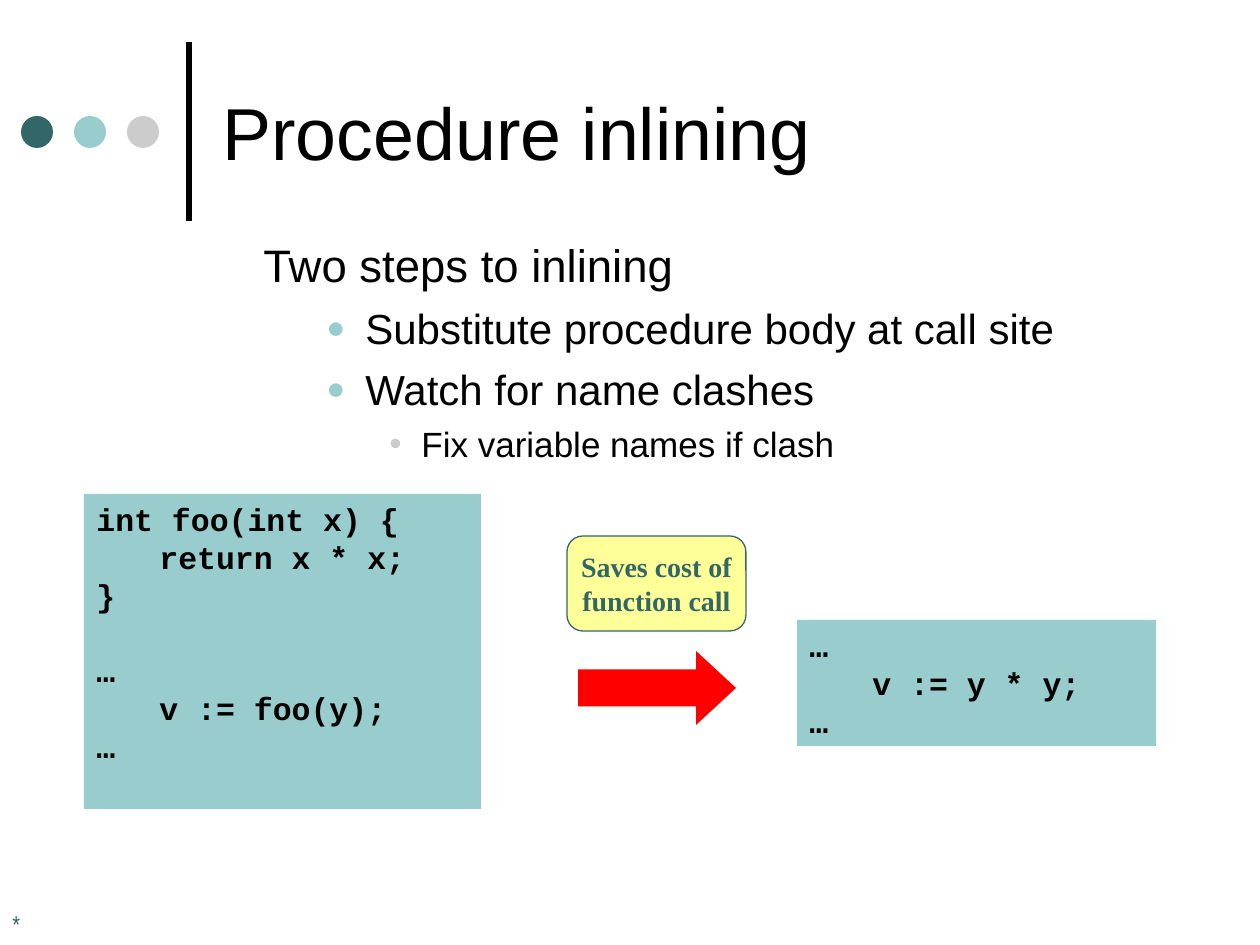
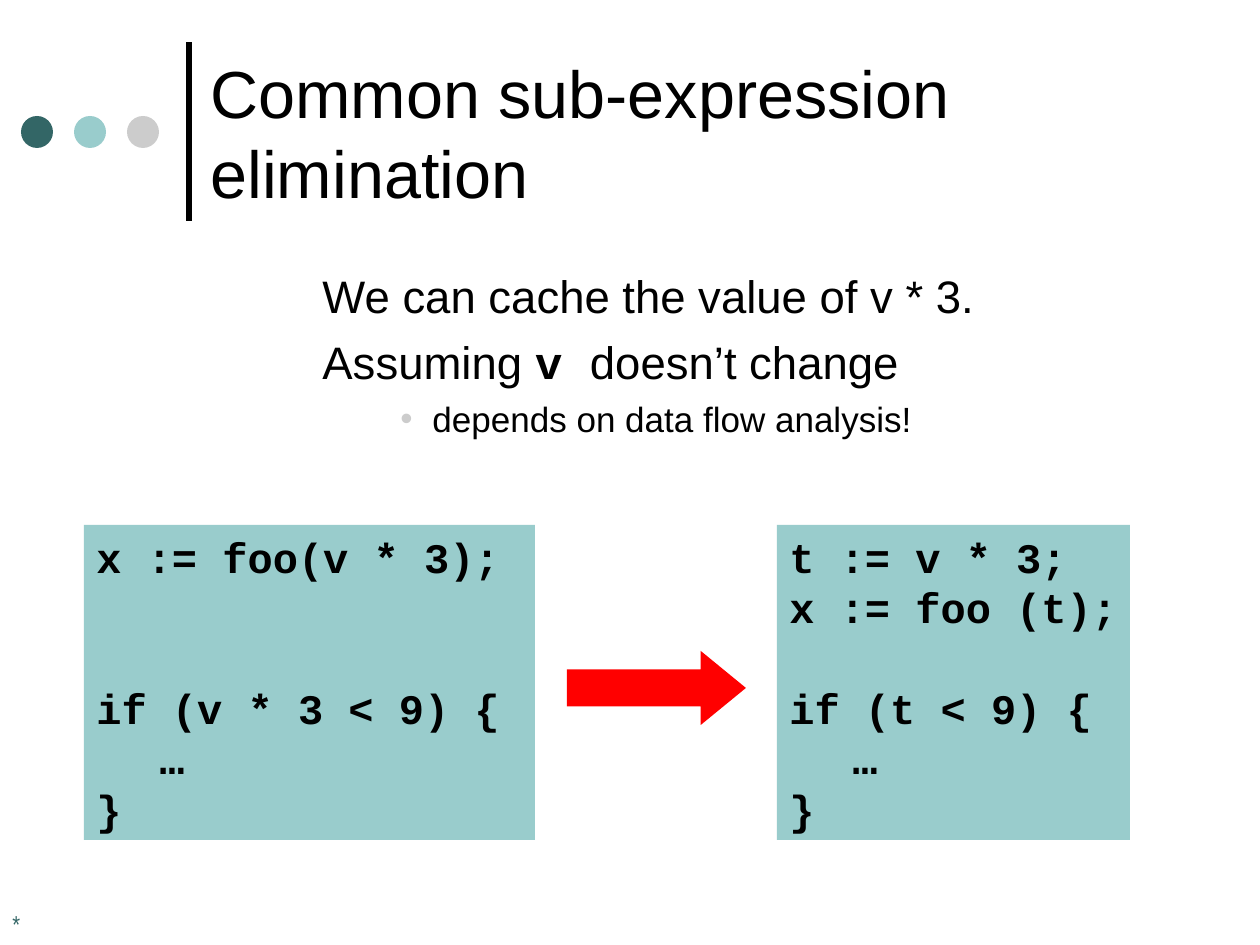
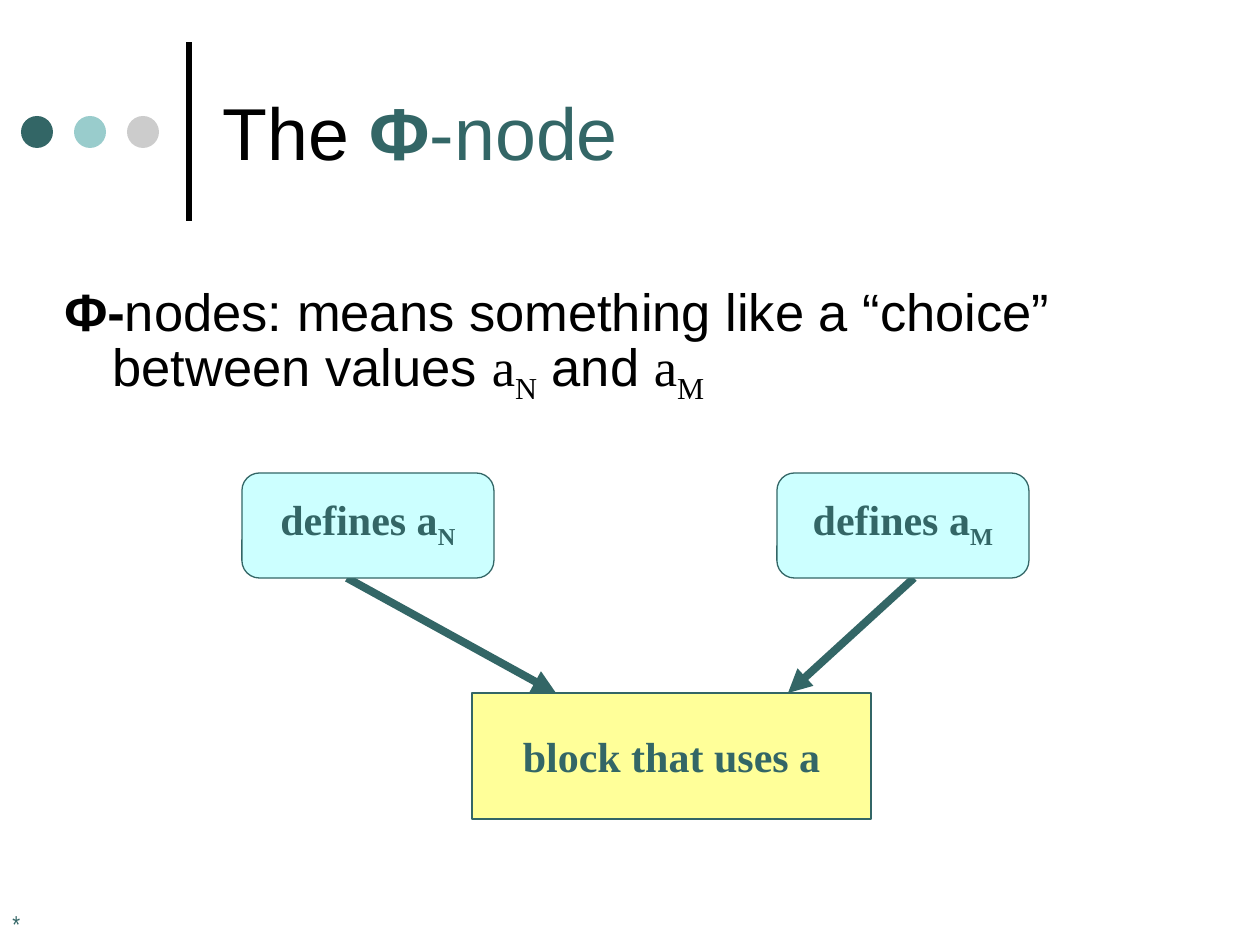
from dataclasses import dataclass, replace

from lxml import etree
from pptx import Presentation
from pptx.dml.color import RGBColor
from pptx.enum.shapes import MSO_CONNECTOR, MSO_SHAPE
from pptx.enum.text import MSO_ANCHOR, PP_ALIGN
from pptx.oxml.ns import qn
from pptx.util import Pt

PX = 914400 / 126
SLIDE_W, SLIDE_H = 1260, 945
BLANK = 6
STRAIGHT = MSO_CONNECTOR.STRAIGHT
RECT = MSO_SHAPE.RECTANGLE
ROUNDED = MSO_SHAPE.ROUNDED_RECTANGLE
ALTERNATE = MSO_SHAPE.FLOWCHART_ALTERNATE_PROCESS
OVAL = MSO_SHAPE.OVAL
ARROW = MSO_SHAPE.RIGHT_ARROW
TOP, MIDDLE = MSO_ANCHOR.TOP, MSO_ANCHOR.MIDDLE
LEFT, CENTER = PP_ALIGN.LEFT, PP_ALIGN.CENTER


@dataclass(frozen=True)
class Style:
    font: str
    size: int
    color: str
    bold: bool = False
    baseline: int = 0


@dataclass(frozen=True)
class Theme:
    black: str = "000000"
    teal: str = "336666"
    aqua: str = "99CCCC"
    grey: str = "CCCCCC"
    yellow: str = "FFFF99"
    ice: str = "CCFFFF"
    red: str = "FF0000"
    sans: str = "Arial"
    narrow: str = "Arial Narrow"
    mono: str = "Courier New"
    serif: str = "Times New Roman"
    title: int = 42
    long_title: int = 38
    statement: int = 30
    body: int = 26
    bullet: int = 24
    sub_bullet: int = 20
    label: int = 24
    note: int = 16
    code: int = 24
    small_code: int = 18
    footer: int = 14
    leading: float = 1.2


T = Theme()
TITLE = Style(T.sans, T.title, T.black)
BODY = Style(T.sans, T.body, T.black)
LABEL = Style(T.serif, T.label, T.teal, True)
CODE = Style(T.mono, T.code, T.black, True)


@dataclass(frozen=True)
class Para:
    runs: tuple
    margin: int = 0
    indent: int = 0
    before: float = 0
    bullet: tuple = ()


def px(n):
    return round(n * PX)


def rgb(value):
    return RGBColor.from_string(value)


def add_run(p, text, style):
    r = p.add_run()
    r.text = text
    r.font.name = style.font
    r.font.size = Pt(style.size)
    r.font.bold = style.bold
    r.font.color.rgb = rgb(style.color)
    if style.baseline:
        r.font._element.set("baseline", str(style.baseline * 1000))


def add_bullet(p, char, color, percent):
    pPr = p._p.get_or_add_pPr()
    clr = etree.SubElement(pPr, qn("a:buClr"))
    etree.SubElement(clr, qn("a:srgbClr"), val=color)
    etree.SubElement(pPr, qn("a:buSzPct"), val=str(percent * 1000))
    etree.SubElement(pPr, qn("a:buFont"), typeface=T.sans)
    etree.SubElement(pPr, qn("a:buChar"), char=char)


def fill_text(tf, paras, anchor=TOP, align=LEFT, wrap=True):
    tf.word_wrap = wrap
    tf.vertical_anchor = anchor
    for i, para in enumerate(paras):
        p = tf.add_paragraph() if i else tf.paragraphs[0]
        p.alignment = align
        p.line_spacing = Pt(para.runs[0][1].size * T.leading)
        pPr = p._p.get_or_add_pPr()
        pPr.set("marL", str(px(para.margin)))
        pPr.set("indent", str(px(para.indent)))
        if i and para.before:
            p.space_before = Pt(para.before)
        if para.bullet:
            add_bullet(p, *para.bullet)
        for j, (text, style) in enumerate(para.runs):
            for k, part in enumerate(text.split("\n")):
                if k:
                    p.add_line_break()
                add_run(p, part, style)


def add_text(s, box, paras, anchor=TOP):
    sp = s.shapes.add_textbox(*map(px, box))
    fill_text(sp.text_frame, paras, anchor)


def add_box(s, kind, box, fill, line=None):
    sp = s.shapes.add_shape(kind, *map(px, box))
    sp.shadow.inherit = False
    sp.fill.solid()
    sp.fill.fore_color.rgb = rgb(fill)
    if line:
        sp.line.color.rgb = rgb(line)
        sp.line.width = Pt(0.75)
    else:
        sp.line.fill.background()
    return sp


def add_line(s, start, end, color, width, arrow=False):
    c = s.shapes.add_connector(STRAIGHT, *map(px, start + end))
    c.line.color.rgb = rgb(color)
    c.line.width = Pt(width)
    if arrow:
        etree.SubElement(c.line._get_or_add_ln(), qn("a:tailEnd"), type="triangle")
    etree.SubElement(c._element.spPr, qn("a:effectLst"))


def add_label(s, kind, box, fill, *lines):
    sp = add_box(s, kind, box, fill, T.teal)
    fill_text(sp.text_frame, [Para(runs) for runs in lines], MIDDLE, CENTER, False)


def add_code(s, box, code, size=T.code):
    sp = add_box(s, RECT, box, T.aqua)
    style = replace(CODE, size=size)
    paras, blanks = [], 0
    for text in code.split("\n"):
        if text:
            gap = blanks * size * T.leading
            paras.append(Para(((text, style),), before=gap))
            blanks = 0
        else:
            blanks += 1
    sp.text_frame.margin_right = 0
    fill_text(sp.text_frame, paras)


def add_arrow(s, box, head):
    sp = add_box(s, ARROW, box, T.red)
    sp.adjustments[0] = 0.5
    sp.adjustments[1] = head


def add_title(s, *runs, box=(210, 26, 966, 210)):
    add_text(s, box, [Para(runs)], MIDDLE)


def body(*runs, indent=0):
    return Para(runs, 48, indent, runs[0][1].size / 4)


def bullet(text):
    style = replace(BODY, size=T.bullet)
    return Para(((text, style),), 102, -39, 6, ("●", T.aqua, 75))


def sub_bullet(text):
    style = replace(BODY, size=T.sub_bullet)
    return Para(((text, style),), 158, -32, 5, ("•", T.grey, 100))


def new_slide(prs):
    s = prs.slides.add_slide(prs.slide_layouts[BLANK])
    add_line(s, (189, 221), (189, 42), T.black, 3)
    for i, color in enumerate((T.teal, T.aqua, T.grey)):
        add_box(s, OVAL, (21 + i * 53, 116, 32, 32), color)
    footer = Style(T.narrow, T.footer, T.teal)
    add_text(s, (0, 903, 262, 63 - 21), [Para((("*", footer),))])
    return s


def inlining_slide(prs):
    s = new_slide(prs)
    add_title(s, ("Procedure inlining", TITLE))
    add_text(s, (251, 231, 873, 609), [
        body(("Two steps to inlining", BODY), indent=-48),
        bullet("Substitute procedure body at call site"),
        bullet("Watch for name clashes"),
        sub_bullet("Fix variable names if clash"),
    ])
    note = replace(LABEL, size=T.note)
    add_label(s, ALTERNATE, (567, 536, 179, 95), T.yellow,
              (("Saves cost of", note),), (("function call", note),))
    add_code(s, (84, 494, 397, 315),
             "int foo(int x) {\n\treturn x * x;\n}\n\n…\n\tv := foo(y);\n…",
             T.small_code)
    add_code(s, (797, 620, 359, 126), "…\n\tv := y * y;\n…", T.small_code)
    add_arrow(s, (578, 651, 158, 74), 0.54)


def subexpression_slide(prs):
    s = new_slide(prs)
    add_title(s, ("Common sub-expression\nelimination",
                  replace(TITLE, size=T.long_title)),
              box=(198, 53, 1060, 158))
    add_text(s, (262, 262, 788, 640), [
        body(("We can cache the value of v * 3.", BODY)),
        body(("Assuming ", BODY),
             ("v ", replace(BODY, font=T.mono, bold=True)),
             ("doesn’t change", BODY)),
        sub_bullet("depends on data flow analysis!"),
    ])
    add_code(s, (777, 525, 353, 315),
             "t := v * 3;\nx := foo (t);\n\nif (t < 9) {\n\t…\n}")
    add_code(s, (84, 525, 451, 315),
             "x := foo(v * 3);\n\n\nif (v * 3 < 9) {\n\t…\n}")
    add_arrow(s, (567, 651, 179, 74), 0.61)


def phi_slide(prs):
    s = new_slide(prs)
    teal_title = replace(TITLE, color=T.teal)
    add_title(s, ("The ", TITLE), ("Φ", replace(teal_title, bold=True)),
              ("-node", teal_title))
    text = replace(BODY, size=T.statement)
    var = replace(text, font=T.serif)
    sub = replace(var, baseline=-25)
    add_text(s, (52, 273, 1155, 168), [
        body(("Φ-", replace(text, bold=True)),
             ("nodes: means something like a “choice” between values ", text),
             ("a", var), ("N", sub), (" and ", text), ("a", var), ("M", sub),
             indent=-48),
    ])
    add_label(s, RECT, (472, 693, 399, 126), T.yellow,
              (("block that uses a", LABEL),))
    for start, end in (((347, 578), (556, 693)), ((914, 578), (788, 693))):
        add_line(s, start, end, T.teal, 4.5, arrow=True)
    for left, index in ((242, "N"), (777, "M")):
        add_label(s, ROUNDED, (left, 473, 252, 105), T.ice,
                  (("defines a", LABEL), (index, replace(LABEL, baseline=-25))))


def main():
    prs = Presentation()
    prs.slide_width, prs.slide_height = px(SLIDE_W), px(SLIDE_H)
    inlining_slide(prs)
    subexpression_slide(prs)
    phi_slide(prs)
    prs.save("out.pptx")


if __name__ == "__main__":
    main()
